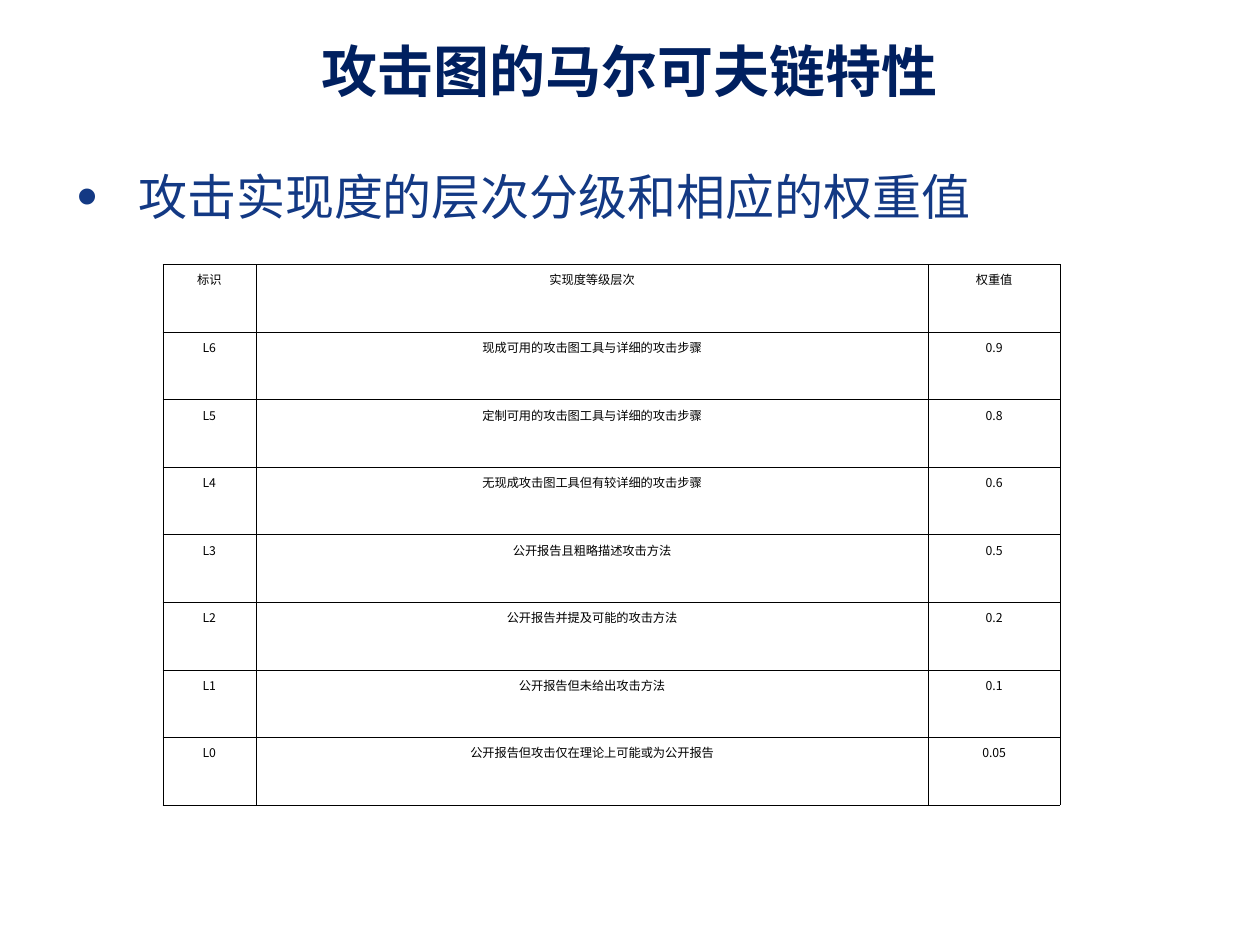
from lxml import etree
from pptx import Presentation
from pptx.dml.color import RGBColor
from pptx.enum.text import MSO_ANCHOR, PP_ALIGN
from pptx.oxml.ns import qn
from pptx.util import Cm, Pt

CENTER, LEFT = PP_ALIGN.CENTER, PP_ALIGN.LEFT
TOP = MSO_ANCHOR.TOP
FONT = "Noto Sans CJK SC"
NAVY = RGBColor(0x00, 0x20, 0x60)
BLUE = RGBColor(0x13, 0x39, 0x84)
BLACK = RGBColor(0x00, 0x00, 0x00)

LEVELS = [
    ("标识", "实现度等级层次", "权重值"),
    ("L6", "现成可用的攻击图工具与详细的攻击步骤", "0.9"),
    ("L5", "定制可用的攻击图工具与详细的攻击步骤", "0.8"),
    ("L4", "无现成攻击图工具但有较详细的攻击步骤", "0.6"),
    ("L3", "公开报告且粗略描述攻击方法", "0.5"),
    ("L2", "公开报告并提及可能的攻击方法", "0.2"),
    ("L1", "公开报告但未给出攻击方法", "0.1"),
    ("L0", "公开报告但攻击仅在理论上可能或为公开报告", "0.05"),
]


def write_text(frame, text, size, color, bold=False, align=LEFT, spacing=None):
    """Fill the first paragraph of a text frame and return it."""
    paragraph = frame.paragraphs[0]
    paragraph.alignment = align
    if spacing:
        paragraph.line_spacing = spacing
    run = paragraph.add_run()
    run.text = text
    font = run.font
    font.name, font.size, font.bold = FONT, Pt(size), bold
    font.color.rgb = color
    etree.SubElement(font._element, qn("a:ea"), typeface=FONT)
    return paragraph


class SlideBuilder:
    def __init__(self, slide, border_width=0.23, border_color=BLACK):
        self.slide = slide
        self.border_width = Pt(border_width)
        self.border_color = border_color

    def text_box(self, left, top, width, height, text, **text_format):
        shape = self.slide.shapes.add_textbox(Cm(left), Cm(top), Cm(width), Cm(height))
        frame = shape.text_frame
        frame.word_wrap = True
        frame.vertical_anchor = TOP
        return write_text(frame, text, **text_format)

    def bullet_box(self, left, top, width, height, text, indent, **text_format):
        paragraph = self.text_box(left, top, width, height, text, **text_format)
        properties = paragraph._p.get_or_add_pPr()
        properties.set("marL", str(Cm(indent)))
        properties.set("indent", str(-Cm(indent)))
        color = etree.SubElement(properties, qn("a:buClr"))
        etree.SubElement(color, qn("a:srgbClr"), val=str(text_format["color"]))
        etree.SubElement(properties, qn("a:buSzPct"), val="120000")
        etree.SubElement(properties, qn("a:buFont"), typeface="Arial")
        etree.SubElement(properties, qn("a:buChar"), char="•")

    def cell_borders(self, cell):
        properties = cell._tc.get_or_add_tcPr()
        for side in ("lnL", "lnR", "lnT", "lnB"):
            line = etree.SubElement(properties, qn(f"a:{side}"), w=str(self.border_width))
            fill = etree.SubElement(line, qn("a:solidFill"))
            etree.SubElement(fill, qn("a:srgbClr"), val=str(self.border_color))

    def table(self, left, top, column_widths, height, rows, **text_format):
        table = self.slide.shapes.add_table(
            len(rows), len(column_widths), Cm(left), Cm(top),
            Cm(sum(column_widths)), Cm(height)).table
        table.first_row = table.horz_banding = False
        for column, width in zip(table.columns, column_widths):
            column.width = Cm(width)
        for row, texts in zip(table.rows, rows):
            row.height = Cm(height / len(rows))
            for cell, text in zip(row.cells, texts):
                cell.margin_left = cell.margin_right = Cm(0.2)
                cell.margin_top = cell.margin_bottom = Cm(0.13)
                self.cell_borders(cell)
                cell.fill.background()
                write_text(cell.text_frame, text, **text_format)


def main():
    presentation = Presentation()
    presentation.slide_width, presentation.slide_height = Cm(25.4), Cm(19.05)
    builder = SlideBuilder(presentation.slides.add_slide(presentation.slide_layouts[6]))

    # Title
    builder.text_box(1.27, 0.76, 22.86, 3.18, "攻击图的马尔可夫链特性",
                     size=32, color=NAVY, bold=True, align=CENTER, spacing=0.9)
    # Bullet line
    builder.bullet_box(1.3, 3.12, 22.86, 14.07, "攻击实现度的层次分级和相应的权重值",
                       indent=1.24, size=28, color=BLUE, spacing=1.1)
    # Levels and their weights
    builder.table(3.28, 5.33, (1.88, 13.55, 2.66), 10.9, LEVELS,
                  size=7, color=BLACK, align=CENTER)

    presentation.save("out.pptx")


if __name__ == "__main__":
    main()
